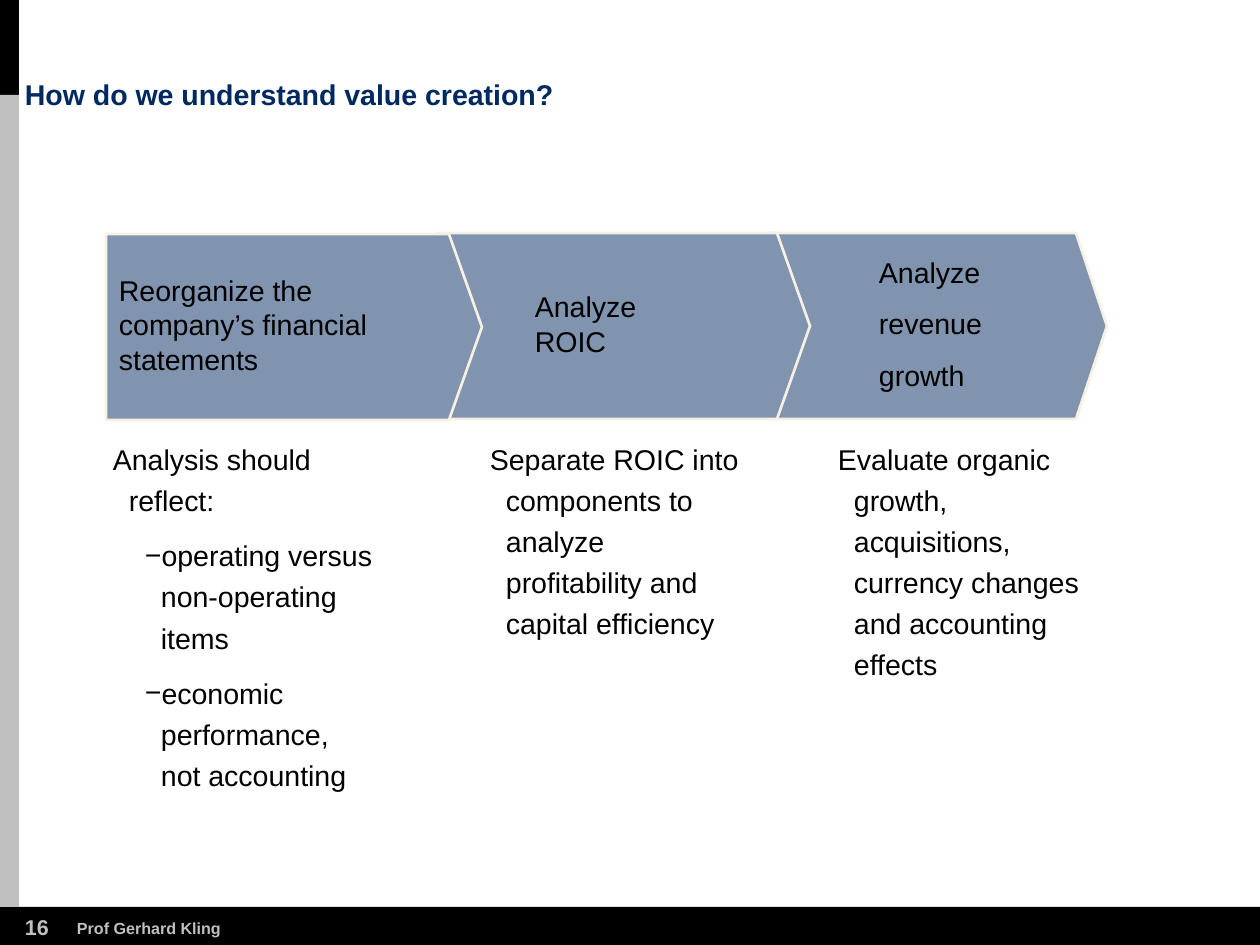
from lxml.etree import SubElement
from pptx import Presentation
from pptx.dml.color import RGBColor
from pptx.enum.shapes import MSO_SHAPE
from pptx.enum.text import MSO_ANCHOR
from pptx.oxml.ns import qn
from pptx.util import Emu, Pt

PX = 7112  # EMU per px
COLORS = {"black": "000000", "grey": "C0C0C0", "navy": "002960",
          "step": "8094AF", "cream": "F5F0E3"}


def px(n):
    return Emu(n * PX)


def rgb(name):
    return RGBColor.from_string(COLORS[name])


def write(p, text, size=16, color="black", bold=False, spacing=None,
          before=0, after=0, margin=0, indent=0, bullet=None):
    p.text = text
    p.line_spacing = spacing
    p.space_before, p.space_after = Pt(before), Pt(after)
    pPr = p._p.get_or_add_pPr()
    pPr.set("marL", str(px(margin)))
    pPr.set("indent", str(px(indent)))
    if bullet:
        SubElement(pPr, qn("a:buFont")).set("typeface", "Arial")
        SubElement(pPr, qn("a:buChar")).set("char", bullet)
    else:
        SubElement(pPr, qn("a:buNone"))
    for r in p.runs:
        r.font.name, r.font.size, r.font.bold = "Arial", Pt(size), bold
        r.font.color.rgb = rgb(color)


class Deck:
    def __init__(self, width, height):
        self.prs = Presentation()
        self.prs.slide_width, self.prs.slide_height = px(width), px(height)
        self.s = self.prs.slides.add_slide(self.prs.slide_layouts[6])

    def paint(self, sp, fill, line=None):
        sp.shadow.inherit = False
        sp.fill.solid()
        sp.fill.fore_color.rgb = rgb(fill)
        if line:
            sp.line.color.rgb = rgb(line)
            sp.line.width = Pt(1.5)
        else:
            sp.line.fill.background()

    def bar(self, x, y, w, h, fill):
        sp = self.s.shapes.add_shape(MSO_SHAPE.RECTANGLE, px(x), px(y), px(w), px(h))
        self.paint(sp, fill)

    def arrow(self, left, shoulder, tip, top, height):
        builder = self.s.shapes.build_freeform(left, top, scale=PX)
        builder.add_line_segments([(shoulder, top), (tip, top + height // 2),
                                   (shoulder, top + height), (left, top + height)])
        self.paint(builder.convert_to_shape(), "step", "cream")

    def text(self, x, y, w, h, paragraphs, anchor=MSO_ANCHOR.TOP, wrap=True, **style):
        tf = self.s.shapes.add_textbox(px(x), px(y), px(w), px(h)).text_frame
        tf.word_wrap, tf.vertical_anchor = wrap, anchor
        tf.margin_left = tf.margin_right = tf.margin_top = tf.margin_bottom = 0
        for i, (text, extra) in enumerate(paragraphs):
            p = tf.add_paragraph() if i else tf.paragraphs[0]
            write(p, text, **{**style, **extra})


deck = Deck(1260, 945)

# Frame bars and footer
deck.bar(0, 907, 1260, 38, "black")
deck.bar(0, 0, 19, 95, "black")
deck.bar(0, 95, 19, 812, "grey")
deck.text(25, 914, 26, 26, [("16", {})], wrap=False, size=12, color="grey", bold=True)
deck.text(77, 918, 145, 19, [("Prof Gerhard Kling", {})], wrap=False,
          size=9, color="grey", bold=True)

# Title
deck.text(25, 81, 998, 31, [("How do we understand value creation?", {})],
          anchor=MSO_ANCHOR.BOTTOM, color="navy", bold=True, spacing=0.9)

# Process steps, right to left so that each tip overlaps the next step
steps = [
    ((770, 1076, 1107, 233), (879, 158), ["Analyze", "revenue", "growth"]),
    ((437, 777, 810, 233), (535, 220), ["Analyze\nROIC"]),
    ((106, 449, 482, 234), (119, 312), ["Reorganize the company’s financial statements"]),
]
for (left, shoulder, tip, top), (x, w), lines in steps:
    deck.arrow(left, shoulder, tip, top, 186)
    deck.text(x, top + 10, w, 161, [(line, {}) for line in lines],
              anchor=MSO_ANCHOR.MIDDLE, after=9.6)

# Explanations below the steps
dash = {"margin": 48, "indent": -16, "bullet": "−"}
details = [
    (113, 262, 423, [("Analysis should reflect:", {}),
                     ("operating versus non-operating items", dash),
                     ("economic performance, not accounting", dash)]),
    (490, 252, 207, [("Separate ROIC into components to analyze "
                      "profitability and capital efficiency", {})]),
    (838, 244, 248, [("Evaluate organic growth, acquisitions, "
                      "currency changes and accounting effects", {})]),
]
for x, w, h, paragraphs in details:
    deck.text(x, 435, w, h, paragraphs, spacing=1.2, before=8, margin=16, indent=-16)

deck.prs.save("out.pptx")
